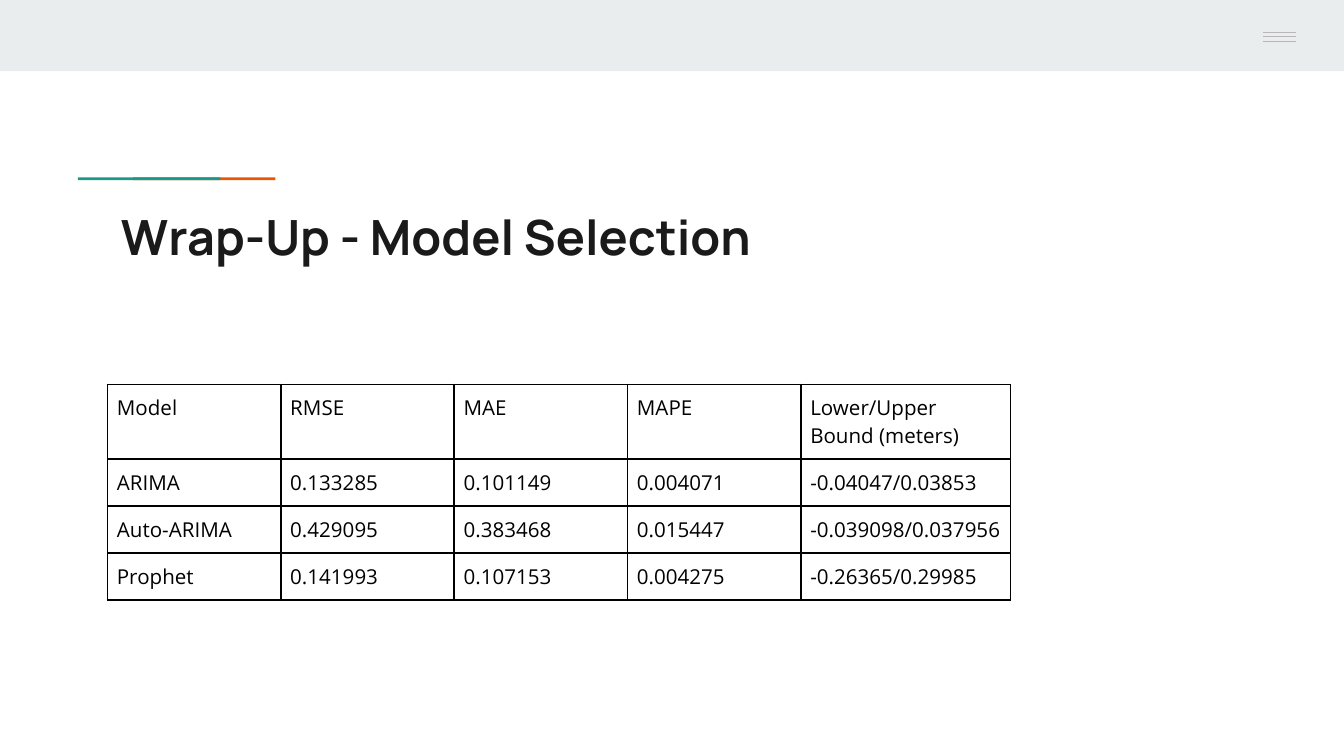
from lxml import etree
from pptx import Presentation
from pptx import util as u
from pptx.dml.color import RGBColor
from pptx.enum import shapes, text
from pptx.oxml import ns

WHITE = RGBColor(0xFF, 0xFF, 0xFF)
BLACK = RGBColor(0x00, 0x00, 0x00)
INK = RGBColor(0x1A, 0x1A, 0x1A)
BAND = RGBColor(0xE9, 0xED, 0xEE)
GREY = RGBColor(0xB7, 0xB7, 0xB7)
ORANGE = RGBColor(0xEB, 0x56, 0x00)
TEAL = RGBColor(0x1A, 0x99, 0x88)


def write_text(frame, content, font, size, color, bold=False, margin=0.07):
    frame.text = content
    frame.word_wrap = True
    frame.margin_left = frame.margin_right = u.Inches(margin)
    frame.margin_top = frame.margin_bottom = u.Inches(margin)
    frame.vertical_anchor = text.MSO_ANCHOR.TOP
    paragraph = frame.paragraphs[0]
    paragraph.alignment = text.PP_ALIGN.LEFT
    run_font = paragraph.runs[0].font
    run_font.name, run_font.size, run_font.bold = font, u.Pt(size), bold
    run_font.color.rgb = color


def add_borders(cell, color, width):
    properties = cell._tc.get_or_add_tcPr()
    for side in ("lnL", "lnR", "lnT", "lnB"):
        line = etree.SubElement(properties, ns.qn(f"a:{side}"), w=str(u.Pt(width)))
        fill = etree.SubElement(line, ns.qn("a:solidFill"))
        etree.SubElement(fill, ns.qn("a:srgbClr"), val=str(color))


presentation = Presentation()
presentation.slide_width = u.Inches(10)
presentation.slide_height = u.Inches(10 * 9 / 16)
slide = presentation.slides.add_slide(presentation.slide_layouts[5])
slide.background.fill.solid()
slide.background.fill.fore_color.rgb = WHITE

bars = [
    (0, 0, 10, 0.53, BAND),
    (0.99, 1.32, 1.06, 0.02, ORANGE),
    (0.58, 1.32, 1.06, 0.02, TEAL),
]
for left, top, width, height, color in bars:
    bar = slide.shapes.add_shape(
        shapes.MSO_SHAPE.RECTANGLE,
        u.Inches(left), u.Inches(top), u.Inches(width), u.Inches(height),
    )
    bar.shadow.inherit = False
    bar.fill.solid()
    bar.fill.fore_color.rgb = color
    bar.line.fill.background()

for y in (0.24, 0.27, 0.31):
    menu_line = slide.shapes.add_connector(
        shapes.MSO_CONNECTOR.STRAIGHT,
        u.Inches(9.4), u.Inches(y), u.Inches(9.64), u.Inches(y),
    )
    menu_line.line.color.rgb = GREY
    menu_line.line.width = u.Pt(0.75)
    etree.SubElement(menu_line._element.spPr, ns.qn("a:effectLst"))

title = slide.shapes.title
title.left, title.top = u.Inches(0.8), u.Inches(1.44)
title.width, title.height = u.Inches(6.02), u.Inches(1.51)
write_text(title.text_frame, "Wrap-Up - Model Selection",
           font="Manrope", size=26, color=INK, bold=True, margin=0.1)

results = [
    ("Model", "RMSE", "MAE", "MAPE", "Lower/Upper Bound (meters)"),
    ("ARIMA", "0.133285", "0.101149", "0.004071", "-0.04047/0.03853"),
    ("Auto-ARIMA", "0.429095", "0.383468", "0.015447", "-0.039098/0.037956"),
    ("Prophet", "0.141993", "0.107153", "0.004275", "-0.26365/0.29985"),
]
column_widths = [1.29] * 4 + [1.56]
row_heights = [0.55] + [0.35] * 3
table = slide.shapes.add_table(
    len(row_heights), len(column_widths), u.Inches(0.8), u.Inches(2.86),
    u.Inches(sum(column_widths)), u.Inches(sum(row_heights)),
).table
table.first_row = False
table.horz_banding = False
for column, width in zip(table.columns, column_widths):
    column.width = u.Inches(width)
for row, height, values in zip(table.rows, row_heights, results):
    row.height = u.Inches(height)
    for cell, value in zip(row.cells, values):
        cell.margin_left = cell.margin_right = u.Inches(0.07)
        cell.margin_top = cell.margin_bottom = u.Inches(0.07)
        write_text(cell.text_frame, value, font="Open Sans", size=11, color=BLACK)
        add_borders(cell, BLACK, 1)
        cell.fill.background()

presentation.save("out.pptx")
